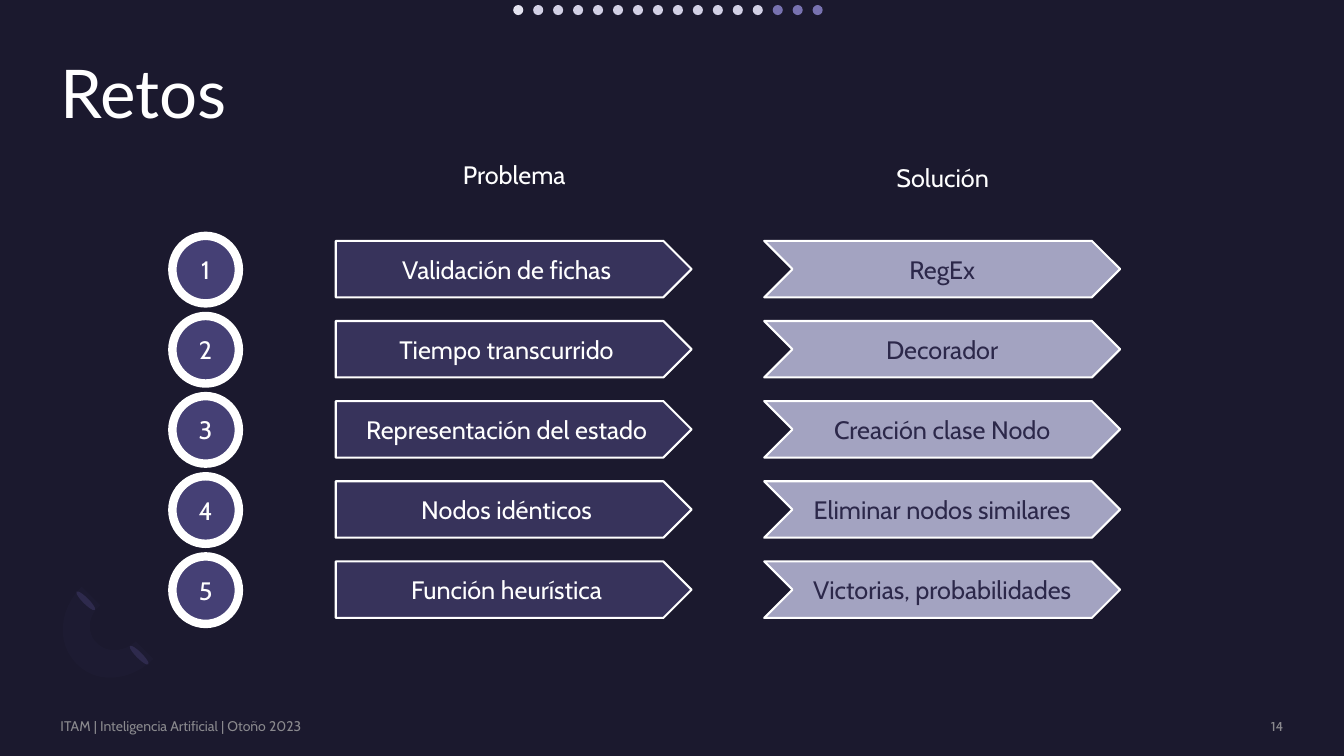
from lxml.etree import SubElement
from pptx import Presentation
from pptx.dml.color import RGBColor
from pptx.enum.shapes import MSO_SHAPE
from pptx.enum.text import MSO_ANCHOR, PP_ALIGN
from pptx.oxml.ns import qn
from pptx.util import Inches, Pt

WIDTH, HEIGHT = 13.33, 7.5
MARGIN = 0.6
COLORS = {
    "background": "1B192E", "white": "FFFFFF", "problem": "37335B",
    "solution": "A3A3C1", "dark_text": "2C284A", "badge": "454075",
    "footer": "A6A6A6", "arc": "7771B2", "first_dot": "E4E3F0",
    "done_dot": "D2D0E5", "pending_dot": "7872B0",
}
CHALLENGES = [
    ("Validación de fichas", "RegEx"),
    ("Tiempo transcurrido", "Decorador"),
    ("Representación del estado", "Creación clase Nodo"),
    ("Nodos idénticos", "Eliminar nodos similares"),
    ("Función heurística", "Victorias, probabilidades"),
]


def color(name):
    return RGBColor.from_string(COLORS[name])


def set_alpha(parent, percent):
    for element in parent.iter(qn("a:srgbClr")):
        SubElement(element, qn("a:alpha"), val=str(percent * 1000))


def write(shape, text, size=18, ink="white", font="Cabin", align=PP_ALIGN.CENTER,
          anchor=MSO_ANCHOR.MIDDLE, inset=None):
    frame = shape.text_frame
    frame.word_wrap = True
    frame.vertical_anchor = anchor
    if inset is not None:
        frame.margin_left = frame.margin_right = Inches(inset)
        frame.margin_top = frame.margin_bottom = Inches(inset)
    para = frame.paragraphs[0]
    para.text = text
    para.alignment = align
    para.font.name = font
    para.font.size = Pt(size)
    para.font.color.rgb = color(ink)
    return para


def add_text(page, box, text, **style):
    return write(page.shapes.add_textbox(*map(Inches, box)), text, **style)


def paint(shape, fill, line_width=0):
    shape.shadow.inherit = False
    shape.fill.solid()
    shape.fill.fore_color.rgb = color(fill)
    if line_width:
        shape.line.color.rgb = color("white")
        shape.line.width = Pt(line_width)
    else:
        shape.line.fill.background()
    return shape


def add_preset(page, kind, box, fill, line_width=0):
    shape = page.shapes.add_shape(kind, *map(Inches, box))
    return paint(shape, fill, line_width)


def curve(start, first, second, end, steps=12):
    """Points along a cubic curve, without its start."""
    points = []
    for step in range(1, steps + 1):
        t = step / steps
        weights = ((1 - t) ** 3, 3 * t * (1 - t) ** 2, 3 * t * t * (1 - t), t ** 3)
        points.append(tuple(sum(w * point[axis] for w, point in
                                zip(weights, (start, first, second, end)))
                            for axis in (0, 1)))
    return points


def draw_ornament(page, box):
    left, top, width, height = box
    # Slanted ellipses at the two ends of the arc
    for x, y in ((0.79, 0.55), (0.26, 0.01)):
        ellipse = add_preset(page, MSO_SHAPE.OVAL,
                             (left + x, top + y, 0.06, 0.26), "dark_text")
        ellipse.rotation = 135
    # Faint arc, in shares of the box
    outer = [(0.21, 0.79), (0, 0.59), (0.02, 0.24), (0.26, 0)]
    inner = [(0.45, 0.19), (0.32, 0.3), (0.31, 0.48), (0.42, 0.58)]
    lower = [inner[-1], (0.52, 0.68), (0.7, 0.67), (0.82, 0.56)]
    edge = [(1, 0.74), (0.77, 0.97), (0.41, 1), outer[0]]
    points = curve(*outer) + [inner[0]] + curve(*inner) + curve(*lower)
    points += [edge[0]] + curve(*edge)
    points = [(Inches(left + x * width), Inches(top + y * height)) for x, y in points]
    builder = page.shapes.build_freeform(*points[-1])
    builder.add_line_segments(points[:-1], close=True)
    arc = paint(builder.convert_to_shape(), "arc")
    set_alpha(arc.fill.fore_color._xFill, 3)


def draw_progress(page, box, count=16, pending=3):
    left, top, width, size = box
    pitch = (width - size) / (count - 1)
    for index in range(count):
        fill = "first_dot" if index == 0 else "done_dot"
        if index >= count - pending:
            fill = "pending_dot"
        add_preset(page, MSO_SHAPE.OVAL, (left + index * pitch, top, size, size), fill)


def draw_footer(page, box):
    left, top, width, height = box
    number_width = 1.85
    parts = [
        ((left + width - number_width, top, number_width, height), "14", PP_ALIGN.RIGHT),
        ((left, top, 6.98, height),
         "ITAM | Inteligencia Artificial | Otoño 2023", PP_ALIGN.LEFT),
    ]
    for place, text, align in parts:
        para = add_text(page, place, text, size=10, ink="footer", align=align, inset=0)
        set_alpha(para._p, 80)


def draw_challenges(page, box):
    left, top, width, height = box
    arrow_width, arrow_height = 3.53, 0.56
    badge_width, badge_height = 0.66, 0.67
    pitch = (height - badge_height) / (len(CHALLENGES) - 1)
    solution_left = left + width - arrow_width
    problem_left = solution_left - 4.25
    columns = [
        (problem_left, MSO_SHAPE.PENTAGON, "problem", "white"),
        (solution_left, MSO_SHAPE.CHEVRON, "solution", "dark_text"),
    ]

    # Arrows and numbered badge of each row
    for index, texts in enumerate(CHALLENGES):
        row_top = top + index * pitch
        for (x, kind, fill, ink), text in zip(columns, texts):
            arrow = add_preset(page, kind, (x, row_top + 0.05, arrow_width, arrow_height),
                               fill, 1.5)
            write(arrow, text, ink=ink)
        badge = add_preset(page, MSO_SHAPE.OVAL,
                           (left, row_top, badge_width, badge_height), "badge", 6)
        write(badge, str(index + 1))

    # Column headings
    for x, rise, text in ((problem_left, 0.81, "Problema"), (solution_left, 0.78, "Solución")):
        add_text(page, (x + 0.1, top - rise, 3.34, 0.4), text, anchor=MSO_ANCHOR.TOP)


def build_slide(deck):
    page = deck.slides.add_slide(deck.slide_layouts[6])
    page.background.fill.solid()
    page.background.fill.fore_color.rgb = color("background")
    content_width = WIDTH - 2 * MARGIN
    draw_ornament(page, (0.56, 5.82, 0.96, 0.97))
    title = add_text(page, (MARGIN, 0.6, content_width, 1.46), "Retos", size=48,
                     font="Lato", align=PP_ALIGN.LEFT, anchor=MSO_ANCHOR.TOP, inset=0)
    title.line_spacing = 0.9
    draw_footer(page, (MARGIN, 7.12, content_width, 0.17))
    draw_challenges(page, (1.71, 2.34, 9.4, 3.85))
    draw_progress(page, (5.09, 0.05, 3.07, 0.1))


def main():
    deck = Presentation()
    deck.slide_width, deck.slide_height = Inches(WIDTH), Inches(HEIGHT)
    build_slide(deck)
    deck.save("out.pptx")


if __name__ == "__main__":
    main()
